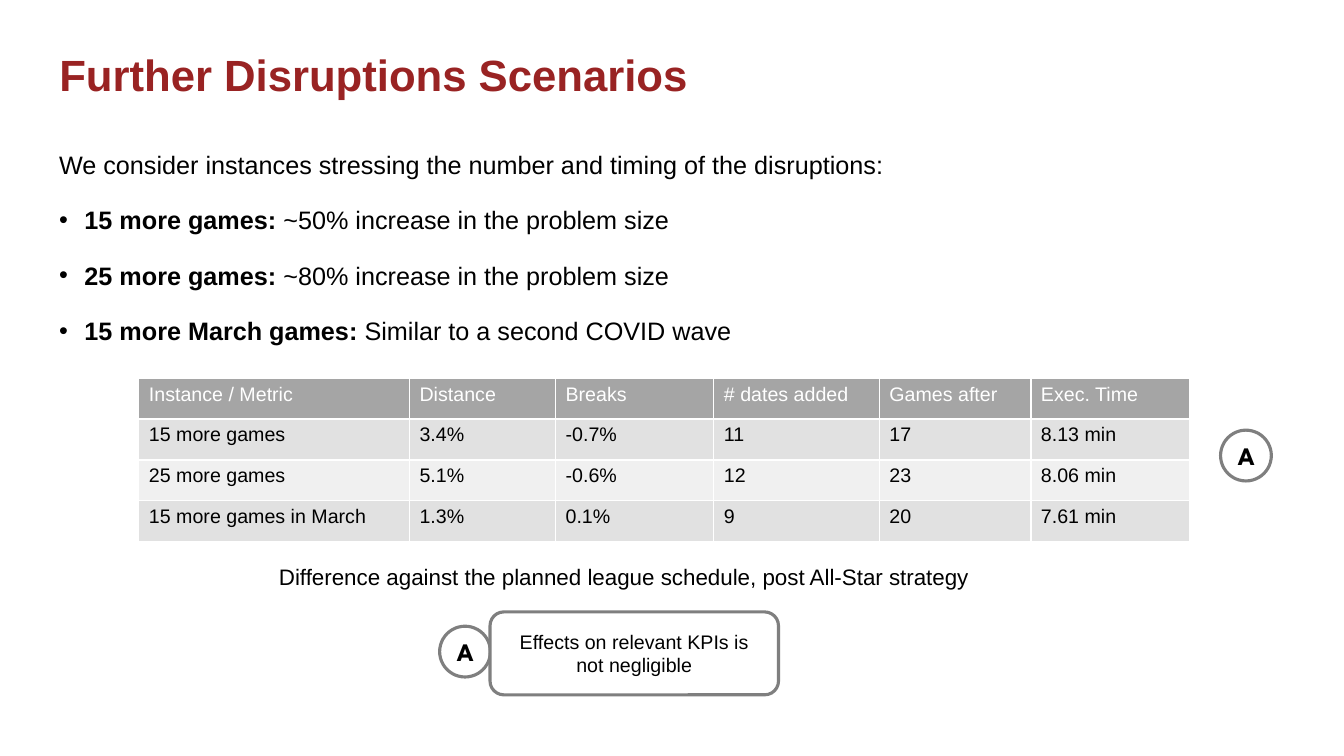
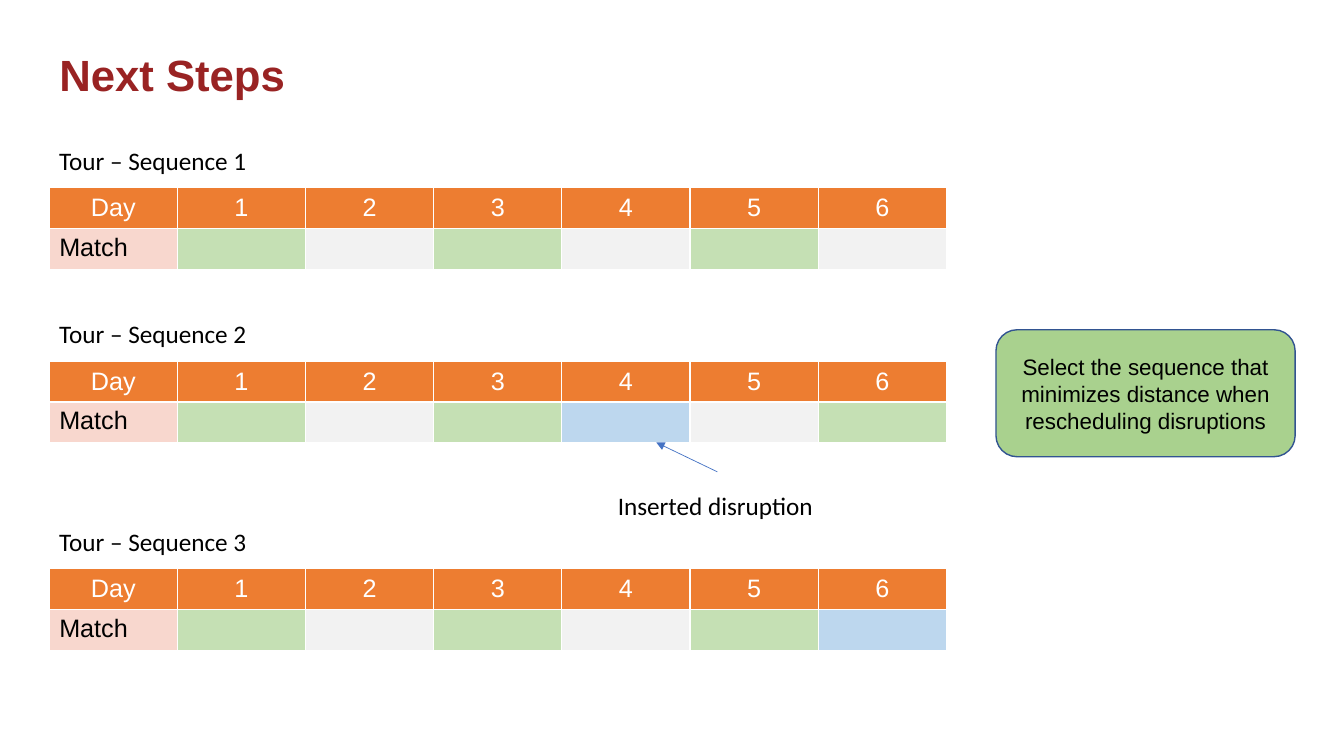
from lxml import etree
from pptx import Presentation
from pptx.dml.color import RGBColor
from pptx.enum.shapes import MSO_CONNECTOR, MSO_SHAPE
from pptx.enum.text import MSO_ANCHOR, MSO_AUTO_SIZE, PP_ALIGN
from pptx.oxml.ns import qn
from pptx.util import Cm, Pt

ELLIPSE, ROUNDED = MSO_SHAPE.OVAL, MSO_SHAPE.ROUNDED_RECTANGLE
STRAIGHT = MSO_CONNECTOR.STRAIGHT
TOP, MIDDLE = MSO_ANCHOR.TOP, MSO_ANCHOR.MIDDLE
LEFT, CENTER = PP_ALIGN.LEFT, PP_ALIGN.CENTER
NO_AUTOFIT = MSO_AUTO_SIZE.NONE
TITLE_ONLY = 5

COLORS = {
    "title": "992323", "text": "000000", "white": "FFFFFF", "outline": "7F7F7F",
    "metric_head": "A5A5A5", "band_dark": "E1E1E1", "band_light": "F0F0F0",
    "day_head": "ED7D31", "match_label": "F8D7CE", "match": "C5E0B4",
    "rest": "F2F2F2", "disruption": "BDD7EE", "arrow": "4472C4",
    "goal": "A9D18E", "goal_line": "325491",
}


def color(name):
    return RGBColor.from_string(COLORS[name])


class Deck:
    """Shared style plus the slide being filled; lengths are in centimetres."""

    font, label_font, badge_font = "Arial", "Calibri", "League Spartan"
    margin = 1.24
    row_height = 1.03

    def __init__(self):
        self.prs = Presentation()
        self.prs.slide_width, self.prs.slide_height = Cm(33.87), Cm(19.05)
        self.slide = None

    def new_slide(self, title):
        self.slide = self.prs.slides.add_slide(self.prs.slide_layouts[TITLE_ONLY])
        heading = self.slide.shapes.title
        heading.left, heading.top = Cm(self.margin), Cm(1.3)
        heading.width, heading.height = Cm(26.8), Cm(1.65)
        frame = heading.text_frame
        frame.auto_size, frame.vertical_anchor = NO_AUTOFIT, MIDDLE
        frame.word_wrap = True
        paragraph = frame.paragraphs[0]
        paragraph.alignment, paragraph.line_spacing = LEFT, Pt(23.2)
        self.run(paragraph, title, 31.2, "title", bold=True)

    def run(self, paragraph, text, size, ink="text", font=None, bold=False):
        run = paragraph.add_run()
        run.text = text
        run.font.size, run.font.name = Pt(size), font or self.font
        run.font.bold = bold
        run.font.color.rgb = color(ink)

    def text_box(self, x, y, width, height):
        box = self.slide.shapes.add_textbox(Cm(x), Cm(y), Cm(width), Cm(height))
        box.text_frame.word_wrap = True
        return box.text_frame

    def label(self, text, x, y, width, size=18, font=None):
        frame = self.text_box(x, y, width, 1)
        self.run(frame.paragraphs[0], text, size, font=font)

    def bullet_list(self, intro, items, x, y, width, height):
        frame = self.text_box(x, y, width, height)
        self.run(frame.paragraphs[0], intro, 18)
        for lead, detail in items:
            paragraph = frame.add_paragraph()
            props = paragraph._p.get_or_add_pPr()
            props.set("marL", str(Cm(0.64)))
            props.set("indent", str(-Cm(0.64)))
            bullet_color = etree.SubElement(props, qn("a:buClr"))
            etree.SubElement(bullet_color, qn("a:srgbClr"), val=COLORS["text"])
            etree.SubElement(props, qn("a:buFont"), typeface=self.font)
            etree.SubElement(props, qn("a:buChar"), char="•")
            paragraph.space_before = Pt(18)
            self.run(paragraph, lead, 18, bold=True)
            self.run(paragraph, detail, 18)

    def shape(self, kind, x, y, width, height, text, size, fill="white",
              line="outline", line_width=2.25, font=None, bold=False):
        shape = self.slide.shapes.add_shape(kind, Cm(x), Cm(y), Cm(width), Cm(height))
        shape.shadow.inherit = False
        shape.fill.solid()
        shape.fill.fore_color.rgb = color(fill)
        shape.line.color.rgb, shape.line.width = color(line), Pt(line_width)
        frame = shape.text_frame
        frame.word_wrap, frame.vertical_anchor = True, MIDDLE
        frame.paragraphs[0].alignment = CENTER
        self.run(frame.paragraphs[0], text, size, font=font, bold=bold)

    def badge(self, letter, x, y):
        self.shape(ELLIPSE, x, y, 1.28, 1.28, letter, 18, font=self.badge_font, bold=True)

    def table(self, x, y, widths, row_count):
        table = self.slide.shapes.add_table(
            row_count, len(widths), Cm(x), Cm(y), Cm(sum(widths)),
            Cm(self.row_height * row_count)).table
        for column, width in zip(table.columns, widths):
            column.width = Cm(width)
        for row in table.rows:
            row.height = Cm(self.row_height)
        return table

    def cell(self, cell, text, size, fill, ink="text", align=LEFT, anchor=TOP):
        props = cell._tc.get_or_add_tcPr()
        for side in ("lnL", "lnR", "lnT", "lnB"):
            border = etree.SubElement(props, qn(f"a:{side}"), w=str(Pt(1)))
            solid = etree.SubElement(border, qn("a:solidFill"))
            etree.SubElement(solid, qn("a:srgbClr"), val=COLORS["white"])
        cell.fill.solid()
        cell.fill.fore_color.rgb = color(fill)
        cell.vertical_anchor = anchor
        if text:
            paragraph = cell.text_frame.paragraphs[0]
            paragraph.alignment = align
            self.run(paragraph, text, size, ink)

    def arrow(self, start, end):
        ends = [Cm(value) for value in (*start, *end)]
        arrow = self.slide.shapes.add_connector(STRAIGHT, *ends)
        arrow.line.color.rgb, arrow.line.width = color("arrow"), Pt(0.5)
        etree.SubElement(arrow.line._get_or_add_ln(), qn("a:tailEnd"), type="triangle")
        etree.SubElement(arrow._element.spPr, qn("a:effectLst"))

    def metrics_table(self, x, y, widths, rows):
        table = self.table(x, y, widths, len(rows))
        for r, values in enumerate(rows):
            fill = "band_dark" if r % 2 else "band_light"
            ink = "text"
            if r == 0:
                fill, ink = "metric_head", "white"
            for c, value in enumerate(values):
                self.cell(table.cell(r, c), value, 14, fill, ink)

    def sequence(self, number, y, match_days, disruption_day=None):
        self.label(f"Tour – Sequence {number}", self.margin, y - 1.2, 5.31,
                   font=self.label_font)
        table = self.table(self.margin, y, [3.23] * 7, 2)
        for day in range(7):
            self.cell(table.cell(0, day), str(day or "Day"), 18, "day_head", "white",
                      CENTER, MIDDLE)
            if day == 0:
                fill = "match_label"
            elif day == disruption_day:
                fill = "disruption"
            else:
                fill = "match" if day in match_days else "rest"
            self.cell(table.cell(1, day), "" if day else "Match", 18, fill)


def scenarios_slide(deck):
    deck.new_slide("Further Disruptions Scenarios")
    deck.bullet_list(
        "We consider instances stressing the number and timing of the disruptions:",
        [("15 more games: ", "~50% increase in the problem size"),
         ("25 more games: ", "~80% increase in the problem size"),
         ("15 more March games: ", "Similar to a second COVID wave")],
        deck.margin, 3.63, 30.18, 13.69)

    # Effect of each scenario
    deck.metrics_table(3.5, 9.53, [6.82, 3.68, 3.99, 4.17, 3.82, 4], [
        ("Instance / Metric", "Distance", "Breaks", "# dates added", "Games after",
         "Exec. Time"),
        ("15 more games", "3.4%", "-0.7%", "11", "17", "8.13 min"),
        ("25 more games", "5.1%", "-0.6%", "12", "23", "8.06 min"),
        ("15 more games in March", "1.3%", "0.1%", "9", "20", "7.61 min"),
    ])
    deck.label("Difference against the planned league schedule, post All-Star strategy",
               6.78, 14.07, 18.4, 16)

    # Finding and its marker beside the table
    deck.badge("A", 11.08, 15.78)
    deck.shape(ROUNDED, 12.35, 15.42, 7.27, 2.09,
               "Effects on relevant KPIs is not negligible", 14)
    deck.badge("A", 30.76, 10.84)


def next_steps_slide(deck):
    deck.new_slide("Next Steps")

    # Candidate tour sequences
    deck.sequence(1, 4.73, (1, 3, 5))
    deck.sequence(2, 9.1, (1, 3, 6), disruption_day=4)
    deck.sequence(3, 14.33, (1, 3, 5), disruption_day=6)

    # Note on the inserted day
    deck.label("Inserted disruption", 15.32, 12.22, 5.49, font=deck.label_font)
    deck.arrow((18.08, 11.89), (16.54, 11.15))

    # Selection rule
    deck.shape(ROUNDED, 25.1, 8.31, 7.54, 3.2,
               "Select the sequence that minimizes distance when rescheduling disruptions",
               16, fill="goal", line="goal_line", line_width=1)


def main():
    deck = Deck()
    scenarios_slide(deck)
    next_steps_slide(deck)
    deck.prs.save("out.pptx")


if __name__ == "__main__":
    main()
